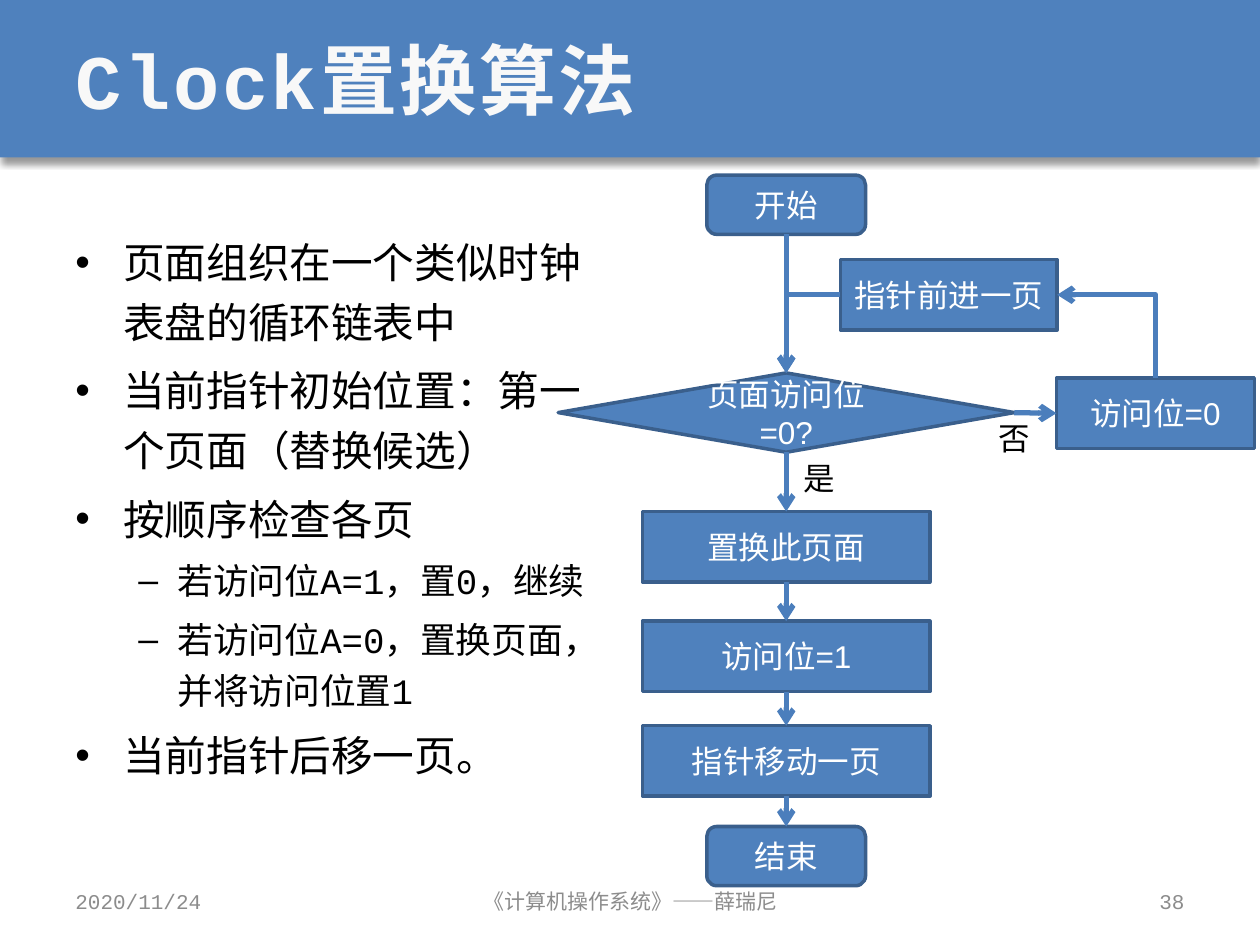
import pptx
import pptx.util
import pptx.dml.color
import pptx.enum.shapes
import pptx.enum.text
import pptx.oxml
import pptx.oxml.ns
from dataclasses import dataclass
from lxml import etree

Inches, Pt = pptx.util.Inches, pptx.util.Pt
SHAPE = pptx.enum.shapes.MSO_SHAPE
CONNECTOR = pptx.enum.shapes.MSO_CONNECTOR
ALIGN = pptx.enum.text.PP_ALIGN
ANCHOR = pptx.enum.text.MSO_ANCHOR
AUTOSIZE = pptx.enum.text.MSO_AUTO_SIZE
qn = pptx.oxml.ns.qn


@dataclass(frozen=True)
class Theme:
    fill: str = "4F81BD"
    outline: str = "3A5F8C"
    arrow: str = "4B7EBC"
    title: str = "F8F8F8"
    text: str = "000000"
    node_text: str = "FFFFFF"
    muted: str = "8C8C8C"
    mono: str = "Courier New"
    sans: str = "Arial"
    title_size: float = 44
    level_sizes: tuple = (23.8, 20.4)
    node_size: float = 18
    footer_size: float = 12


THEME = Theme()
WIDTH, HEIGHT = 10, 7.5
MARGIN = WIDTH / 20
BAND = HEIGHT / 6

TITLE = "Clock置换算法"
POINTS = [
    (0, "页面组织在一个类似时钟表盘的循环链表中"),
    (0, "当前指针初始位置：第一个页面（替换候选）"),
    (0, "按顺序检查各页"),
    (1, "若访问位A=1，置0，继续"),
    (1, "若访问位A=0，置换页面，并将访问位置1"),
    (0, "当前指针后移一页。"),
]
LEVELS = [  # bullet, indent, hanging
    ("•", 0.38, 0.38),
    ("–", 0.81, 0.31),
]

SPINE, ADVANCE, RESET = 6.24, 7.53, 9.17  # centre lines of the flow's columns
KINDS = {  # preset, height
    "terminal": (SHAPE.FLOWCHART_ALTERNATE_PROCESS, 0.47),
    "process": (SHAPE.FLOWCHART_PROCESS, 0.56),
    "decision": (SHAPE.FLOWCHART_DECISION, 0.63),
}
NODES = {  # kind, text, centre, top, width
    "start": ("terminal", "开始", SPINE, 1.39, 1.26),
    "advance": ("process", "指针前进一页", ADVANCE, 2.06, 1.72),
    "check": ("decision", "页面访问位=0?", SPINE, 2.96, 3.62),
    "reset": ("process", "访问位=0", RESET, 3, 1.57),
    "replace": ("process", "置换此页面", SPINE, 4.06, 2.28),
    "mark": ("process", "访问位=1", SPINE, 4.93, 2.28),
    "move": ("process", "指针移动一页", SPINE, 5.76, 2.28),
    "end": ("terminal", "结束", SPINE, 6.56, 1.26),
}
TOP, LEFT, BOTTOM, RIGHT = range(4)  # connection sites
MAIN_PATH = ["start", "check", "replace", "mark", "move", "end"]
BRANCHES = [("是", 6.28, 3.59), ("否", 7.83, 3.28)]
FOOTERS = [  # text, left, width, alignment
    ("2020/11/24", MARGIN, 2.33, ALIGN.LEFT),
    ("《计算机操作系统》——薛瑞尼", 3.42, 3.17, ALIGN.CENTER),
    ("38", WIDTH - MARGIN - 2.33, 2.33, ALIGN.RIGHT),
]


def rgb(value):
    return pptx.dml.color.RGBColor.from_string(value)


def style(font, color, **values):
    font.color.rgb = rgb(color)
    for name, value in values.items():
        setattr(font, name, value)


def write(frame, text, align, color, size, face):
    frame.text = text
    paragraph = frame.paragraphs[0]
    paragraph.alignment = align
    style(paragraph.runs[0].font, color, size=Pt(size), name=face)


def add_band(slide):
    band = slide.shapes.add_shape(SHAPE.RECTANGLE, 0, 0, Inches(WIDTH), Inches(BAND))
    band.fill.solid()
    band.fill.fore_color.rgb = rgb(THEME.fill)
    band.line.fill.background()
    band.shadow.inherit = False
    effects = band._element.spPr.find(qn("a:effectLst"))
    shadow = etree.SubElement(effects, qn("a:outerShdw"), blurRad=str(Pt(4)),
                              dist=str(Pt(3)), dir="5400000", rotWithShape="0")
    color = etree.SubElement(shadow, qn("a:srgbClr"), val="000000")
    etree.SubElement(color, qn("a:alpha"), val="40000")
    slide.shapes._spTree.insert(2, band._element)  # behind the title


def fill_title(title):
    title.left, title.top = Inches(MARGIN), 0
    title.width, title.height = Inches(WIDTH - 2 * MARGIN), Inches(BAND)
    frame = title.text_frame
    write(frame, TITLE, ALIGN.LEFT, THEME.title, THEME.title_size, THEME.mono)
    frame.vertical_anchor = ANCHOR.MIDDLE
    frame.auto_size = AUTOSIZE.NONE
    font = frame.paragraphs[0].runs[0].font
    font.bold = True
    font._element.set("spc", "150")


def add_points(slide):
    frame = slide.shapes.add_textbox(Inches(MARGIN), Inches(1.75),
                                     Inches(4.42), Inches(4.95)).text_frame
    frame.word_wrap = True
    for index, (level, text) in enumerate(POINTS):
        paragraph = frame.add_paragraph() if index else frame.paragraphs[0]
        bullet, indent, hanging = LEVELS[level]
        size = THEME.level_sizes[level]
        paragraph.level = level
        paragraph.line_spacing = 1.2
        paragraph.space_before = Pt(round(0.2 * size, 1) if index else 0)
        props = paragraph._p.get_or_add_pPr()
        props.set("marL", str(Inches(indent)))
        props.set("indent", str(-Inches(hanging)))
        etree.SubElement(props, qn("a:buFont"), typeface=THEME.sans)
        etree.SubElement(props, qn("a:buChar"), char=bullet)
        run = paragraph.add_run()
        run.text = text
        style(run.font, THEME.text, size=Pt(size), name=THEME.mono)


def add_node(slide, kind, text, centre, top, width):
    preset, height = KINDS[kind]
    node = slide.shapes.add_shape(preset, Inches(centre - width / 2), Inches(top),
                                  Inches(width), Inches(height))
    node.shadow.inherit = False
    node.fill.solid()
    node.fill.fore_color.rgb = rgb(THEME.fill)
    node.line.color.rgb = rgb(THEME.outline)
    node.line.width = Pt(2)
    node.text_frame.word_wrap = True
    node.text_frame.vertical_anchor = ANCHOR.MIDDLE
    write(node.text_frame, text, ALIGN.CENTER, THEME.node_text, THEME.node_size, THEME.sans)
    return node


def add_arrow(slide, start, finish, arrow_at="tailEnd", preset="line"):
    arrow = slide.shapes.add_connector(CONNECTOR.STRAIGHT, *start, *finish)
    arrow.line.color.rgb = rgb(THEME.arrow)
    arrow.line.width = Pt(3)
    etree.SubElement(arrow.line._get_or_add_ln(), qn(f"a:{arrow_at}"), type="arrow")
    properties = arrow._element.spPr
    properties.find(qn("a:prstGeom")).set("prst", preset)
    etree.SubElement(properties, qn("a:effectLst"))
    return arrow


def link(slide, source, out_site, target, in_site):
    arrow = add_arrow(slide, (0, 0), (0, 0))
    arrow.begin_connect(source, out_site)
    arrow.end_connect(target, in_site)


def add_flow(slide):
    nodes = {key: add_node(slide, *values) for key, values in NODES.items()}
    for above, below in zip(MAIN_PATH, MAIN_PATH[1:]):
        link(slide, nodes[above], BOTTOM, nodes[below], TOP)
    check, advance, reset = (nodes[key] for key in ("check", "advance", "reset"))
    link(slide, check, RIGHT, reset, LEFT)
    middle = advance.top + advance.height // 2
    add_arrow(slide, (advance.left, middle), (Inches(SPINE), check.top),
              preset="bentConnector2")
    add_arrow(slide, (advance.left + advance.width, middle), (Inches(RESET), reset.top),
              arrow_at="headEnd", preset="bentConnector2")
    for text, left, top in BRANCHES:
        frame = slide.shapes.add_textbox(Inches(left), Inches(top),
                                         Inches(0.45), Inches(0.4)).text_frame
        frame.word_wrap = False
        frame.auto_size = AUTOSIZE.SHAPE_TO_FIT_TEXT
        write(frame, text, ALIGN.LEFT, THEME.text, THEME.node_size, THEME.sans)


def add_footers(slide):
    for text, left, width, align in FOOTERS:
        frame = slide.shapes.add_textbox(Inches(left), Inches(6.95),
                                         Inches(width), Inches(0.4)).text_frame
        frame.word_wrap = True
        frame.vertical_anchor = ANCHOR.MIDDLE
        write(frame, text, align, THEME.muted, THEME.footer_size, THEME.mono)


def main():
    deck = pptx.Presentation()
    deck.slide_width, deck.slide_height = Inches(WIDTH), Inches(HEIGHT)
    slide = deck.slides.add_slide(deck.slide_layouts.get_by_name("Title Only"))
    add_band(slide)
    fill_title(slide.shapes.title)
    add_points(slide)
    add_flow(slide)
    add_footers(slide)
    deck.save("out.pptx")


if __name__ == "__main__":
    main()
